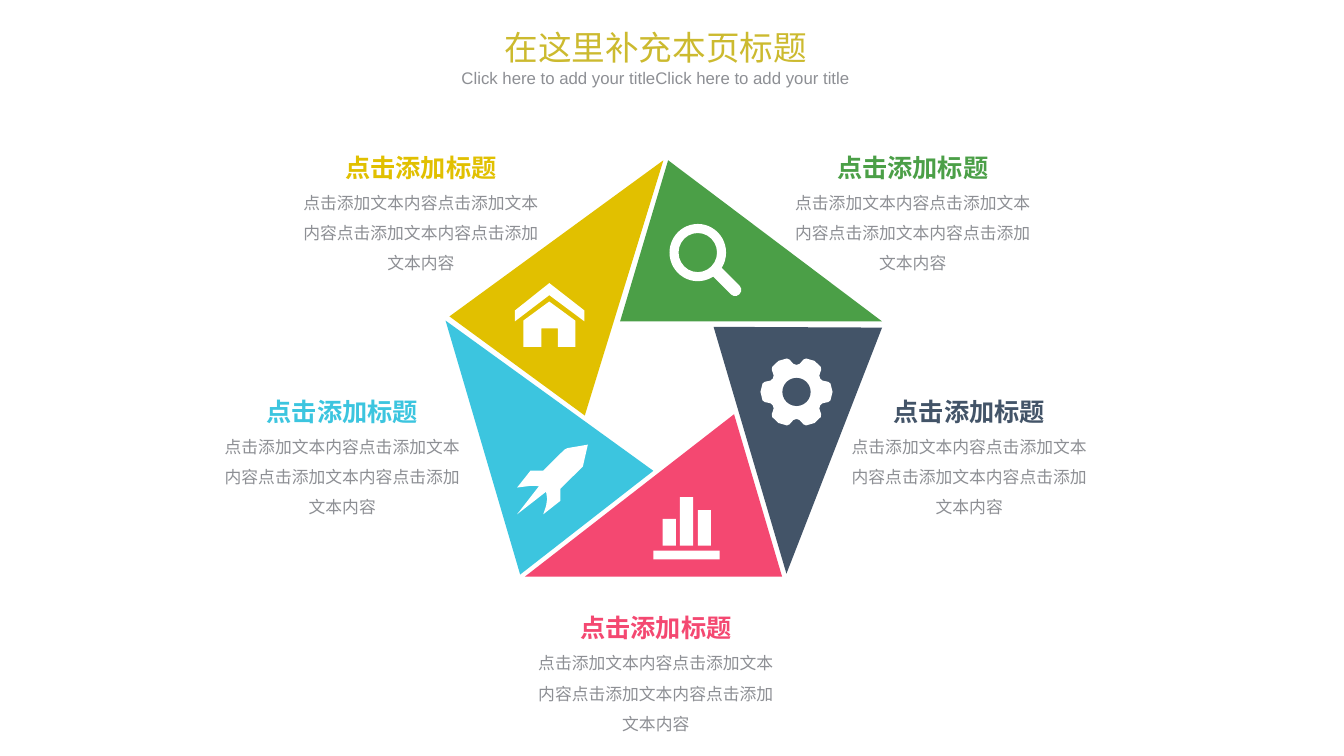
from math import cos, radians, sin
from typing import NamedTuple

from lxml import etree
from pptx import Presentation
from pptx.dml.color import RGBColor
from pptx.enum.shapes import MSO_SHAPE
from pptx.enum.text import MSO_ANCHOR, MSO_AUTO_SIZE, PP_ALIGN
from pptx.oxml.ns import qn
from pptx.util import Inches, Pt

RECTANGLE, OVAL = MSO_SHAPE.RECTANGLE, MSO_SHAPE.OVAL
DONUT, ROUNDED = MSO_SHAPE.DONUT, MSO_SHAPE.ROUNDED_RECTANGLE
TOP, CENTER = MSO_ANCHOR.TOP, PP_ALIGN.CENTER
GROW = MSO_AUTO_SIZE.SHAPE_TO_FIT_TEXT
TITLE_ONLY = 5

COLORS = {
    "title": "CCBA2F",
    "grey": "8D8F94",
    "green": "4B9F47",
    "pink": "F44871",
    "slate": "435468",
    "cyan": "3CC5DF",
    "yellow": "E1C000",
    "white": "FFFFFF",
}
CHINESE_FONT, ENGLISH_FONT = "Noto Sans CJK SC", "Arial"
CAPTION_HEADING = "点击添加标题"
CAPTION_BODY = "点击添加文本内容" * 4


class Box(NamedTuple):
    left: float
    top: float
    width: float
    height: float

    def point(self, x, y):
        """Turn percentages of the box into a slide position."""
        return (round(self.left + self.width * x / 100),
                round(self.top + self.height * y / 100))

    def inside(self, left, top, width, height):
        """Return an inner box given in percentages of this one."""
        return Box(*self.point(left, top),
                   round(self.width * width / 100),
                   round(self.height * height / 100))


# Percentages of the slide
TITLE_AREA = (32.85, 2.93, 31.88, 9.47)
PENTAGON_AREA = (33.15, 21.2, 32.48, 55.07)
CAPTION_SIZE = (19.43, 19.47)
CAPTION_CORNERS = {
    "green": (58.2, 17.47),
    "slate": (62.4, 49.73),
    "cyan": (15.75, 49.73),
    "yellow": (21.6, 17.47),
    "pink": (39.08, 78.4),
}

# Percentages of the pentagon
BLADES = {
    "green": [(51, 0), (40, 38.7), (100, 38.7)],
    "pink": [(66.1, 61), (18.2, 100), (77.1, 100)],
    "slate": [(61.4, 40), (78.1, 99.3), (100, 40.2)],
    "cyan": [(0, 38.5), (17.1, 99.5), (47.6, 74.6)],
    "yellow": [(49.9, 0), (0.9, 37.5), (31.9, 61.3)],
}

# Percentages of each icon
ROOF = [(0, 43), (49.5, 0), (100, 43), (100, 60), (49.5, 19), (0, 60)]
WALLS = [(12, 100), (12, 59), (49.5, 29), (87, 59), (87, 100),
         (62, 100), (62, 71), (38, 71), (38, 100)]
ROCKET = [(0, 99), (31, 59), (20, 58.5), (0, 61), (19, 37), (37, 37),
          (67, 7), (71, 5), (100, 0), (93, 31), (61, 63), (61, 80),
          (37, 99), (41, 87), (42.5, 77), (41, 67)]
BARS = [(14, 35), (40, 0), (67, 21)]
# Angle from the middle of a tooth, and radius
GEAR_TOOTH = [(-24, 40), (-21, 43), (-18, 47), (-14, 49.5), (0, 51),
              (14, 49.5), (18, 47), (21, 43), (24, 40), (30, 38.5)]


def paint(shape, color):
    shape.fill.solid()
    shape.fill.fore_color.rgb = RGBColor.from_string(COLORS[color])
    shape.line.fill.background()
    shape.shadow.inherit = False


def add_preset(slide, kind, box, color="white"):
    shape = slide.shapes.add_shape(kind, *box)
    paint(shape, color)
    return shape


def add_polygon(slide, box, points, color="white"):
    start, *others = [box.point(x, y) for x, y in points]
    builder = slide.shapes.build_freeform(*start)
    builder.add_line_segments(others)
    paint(builder.convert_to_shape(), color)


def add_run(paragraph, text, size, color, font=CHINESE_FONT, bold=False):
    run = paragraph.add_run()
    run.text = text
    run.font.size = Pt(size)
    run.font.bold = bold
    run.font.color.rgb = RGBColor.from_string(COLORS[color])
    run.font.name = font
    east_asian = etree.SubElement(run.font._element, qn("a:ea"))
    east_asian.set("typeface", font)


def fill_title(slide, box):
    title = slide.shapes.title
    title.left, title.top, title.width, title.height = box
    frame = title.text_frame
    frame.word_wrap = True
    frame.auto_size = GROW
    frame.vertical_anchor = TOP
    heading, subtitle = frame.paragraphs[0], frame.add_paragraph()
    heading.alignment = subtitle.alignment = CENTER
    add_run(heading, "在这里补充本页标题", 24, "title")
    add_run(subtitle, "Click here to add your titleClick here to add your title",
            12, "grey", ENGLISH_FONT)


def add_caption(slide, box, color):
    frame = slide.shapes.add_textbox(*box).text_frame
    frame.word_wrap = True
    frame.auto_size = GROW
    heading, body = frame.paragraphs[0], frame.add_paragraph()
    for paragraph in (heading, body):
        paragraph.alignment = CENTER
        paragraph.line_spacing = 1.5
    add_run(heading, CAPTION_HEADING, 18, color, bold=True)
    add_run(body, CAPTION_BODY, 12, "grey")


def add_magnifier(slide, box):
    lens = add_preset(slide, DONUT, box.inside(0, 0, 79, 79))
    lens.adjustments[0] = 0.16
    handle = add_preset(slide, ROUNDED, box.inside(52.5, 70, 53, 17))
    handle.adjustments[0] = 0.5
    handle.rotation = 45


def add_house(slide, box):
    add_polygon(slide, box, ROOF)
    add_polygon(slide, box, WALLS)


def add_gear(slide, box):
    outline = [(50 + radius * cos(radians(tooth + angle)),
                50 + radius * sin(radians(tooth + angle)))
               for tooth in range(0, 360, 60) for angle, radius in GEAR_TOOTH]
    add_polygon(slide, box, outline)
    add_preset(slide, OVAL, box.inside(30, 30, 40, 40), "slate")


def add_rocket(slide, box):
    add_polygon(slide, box, ROCKET)


def add_bars(slide, box):
    for left, top in BARS:
        add_preset(slide, RECTANGLE, box.inside(left, top, 20, 78 - top))
    add_preset(slide, RECTANGLE, box.inside(0, 86, 100, 14))


def add_pentagon(slide, box):
    for color, points in BLADES.items():
        add_polygon(slide, box, points, color)
    add_magnifier(slide, box.inside(51.3, 15.3, 16.4, 17.4))
    add_house(slide, box.inside(15.9, 29.5, 15.9, 15.3))
    add_gear(slide, box.inside(72.3, 47.2, 16.2, 16.9))
    add_rocket(slide, box.inside(16.4, 68.3, 16.2, 16.9))
    add_bars(slide, box.inside(47.6, 80.9, 15.2, 15))


def main():
    presentation = Presentation()
    presentation.slide_width = Inches(13.33)
    presentation.slide_height = Inches(7.5)
    slide = presentation.slides.add_slide(presentation.slide_layouts[TITLE_ONLY])
    page = Box(0, 0, presentation.slide_width, presentation.slide_height)
    fill_title(slide, page.inside(*TITLE_AREA))
    add_pentagon(slide, page.inside(*PENTAGON_AREA))
    for color, corner in CAPTION_CORNERS.items():
        add_caption(slide, page.inside(*corner, *CAPTION_SIZE), color)
    presentation.save("out.pptx")


if __name__ == "__main__":
    main()
